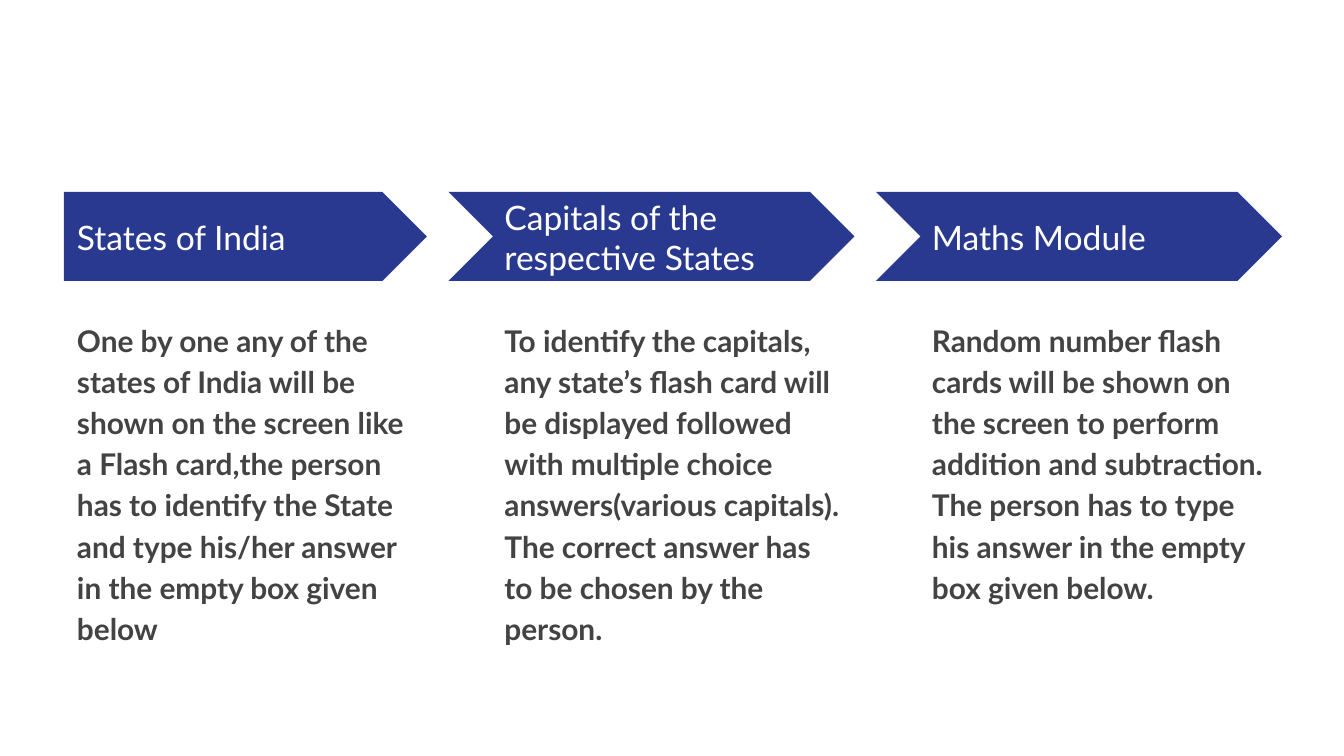
from dataclasses import dataclass

from pptx import Presentation
from pptx.dml.color import RGBColor as Rgb
from pptx.enum.shapes import MSO_SHAPE as Kind
from pptx.enum.text import MSO_ANCHOR as Anchor
from pptx.util import Pt

SCALE = 914400 / 134.4


@dataclass(frozen=True)
class Theme:
    """Colours, font and type sizes."""
    band: Rgb = Rgb(0x2A, 0x39, 0x90)
    head: Rgb = Rgb(0xFF, 0xFF, 0xFF)
    body: Rgb = Rgb(0x43, 0x43, 0x43)
    font: str = "Lato"
    head_size: int = 18
    body_size: int = 16


THEME = Theme()
STEPS = [
    ("States of India",
     "One by one any of the states of India will be shown on the screen like "
     "a Flash card,the person has to identify the State and type his/her "
     "answer in the empty box given below"),
    ("Capitals of the respective States",
     "To identify the capitals, any state’s flash card will be displayed "
     "followed with multiple choice answers(various capitals). The correct "
     "answer has to be chosen by the person."),
    ("Maths Module",
     "Random number flash cards will be shown on the screen to perform "
     "addition and subtraction. The person has to type his answer in the "
     "empty box given below."),
]


def px(*vals):
    """Turn pixels into EMU."""
    return [round(val * SCALE) for val in vals]


def add_text(slide, box, text, size, color, bold=False, anchor=Anchor.TOP):
    """Place one paragraph in a box and return it."""
    frame = slide.shapes.add_textbox(*px(*box)).text_frame
    frame.word_wrap = True
    frame.vertical_anchor = anchor
    pad, = px(13)
    frame.margin_left = frame.margin_right = pad
    frame.margin_top = frame.margin_bottom = pad
    para = frame.paragraphs[0]
    run = para.add_run()
    run.text = text
    font = run.font
    font.name, font.size, font.bold = THEME.font, Pt(size), bold
    font.color.rgb = color
    return para


def add_band(slide, box, kind):
    """Draw the arrow band that fills a box."""
    band = slide.shapes.add_shape(kind, *px(*box))
    band.adjustments[0] = 0.5
    band.shadow.inherit = False
    band.fill.solid()
    band.fill.fore_color.rgb = THEME.band
    band.line.fill.background()


def add_step(slide, box, head, body, first):
    """Place a step: its band, heading and body text."""
    left, top, width, height = box
    tail = 0 if first else 43
    kind = Kind.PENTAGON if first else Kind.CHEVRON
    add_band(slide, (left - tail, top, width + tail, 89), kind)
    add_text(slide, (left, top + 22, 332, 46), head,
             THEME.head_size, THEME.head, anchor=Anchor.MIDDLE)
    para = add_text(slide, (left, top + 112, width, height - 112), body,
                    THEME.body_size, THEME.body, bold=True)
    para.line_spacing = 1.15
    para.space_after = Pt(8)


def add_flow(slide, box, steps):
    """Spread the steps evenly across a box."""
    left, top, width, height = box
    step = 363
    pitch = (width - step) / (len(steps) - 1)
    for num, (head, body) in enumerate(steps):
        add_step(slide, (left + num * pitch, top, step, height),
                 head, body, num == 0)


def main():
    """Build and save the deck."""
    deck = Presentation()
    deck.slide_width, deck.slide_height = px(1344, 756)
    slide = deck.slides.add_slide(deck.slide_layouts[6])
    add_flow(slide, (64, 192, 1218, 502), STEPS)
    deck.save("out.pptx")


main()
